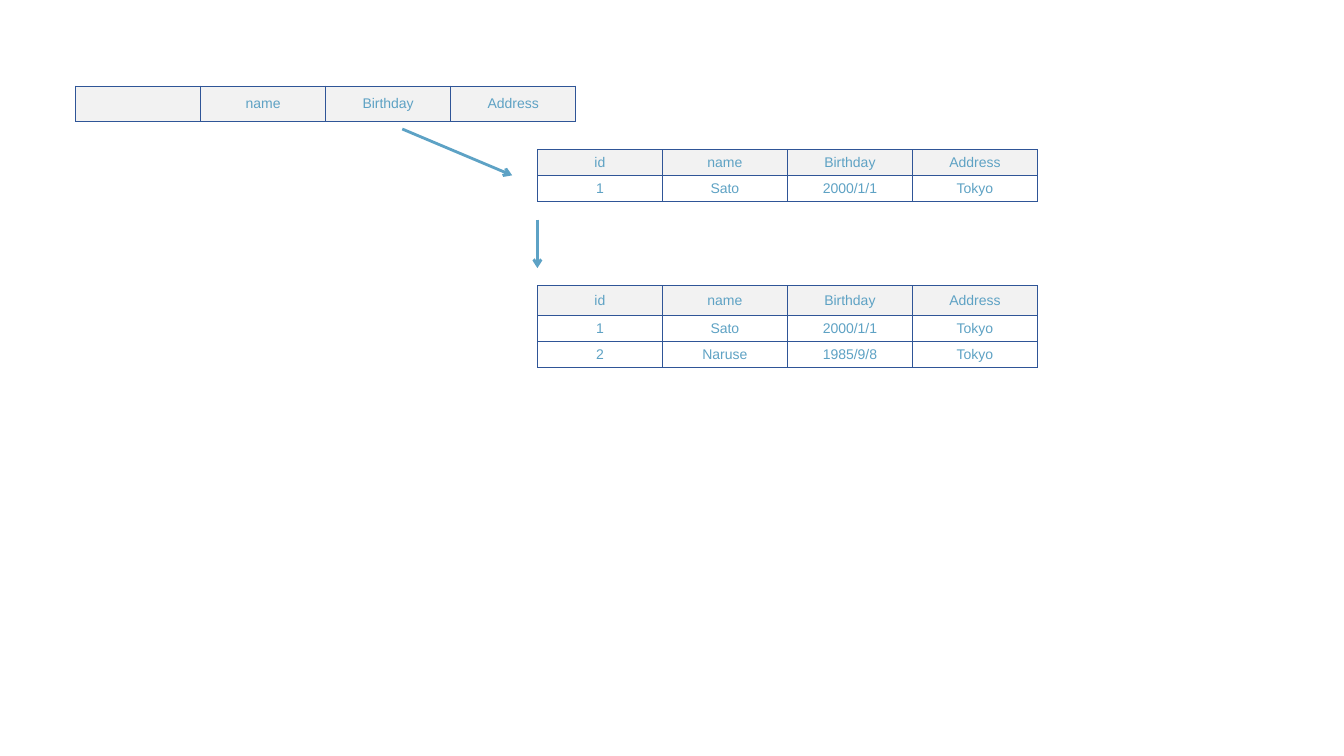
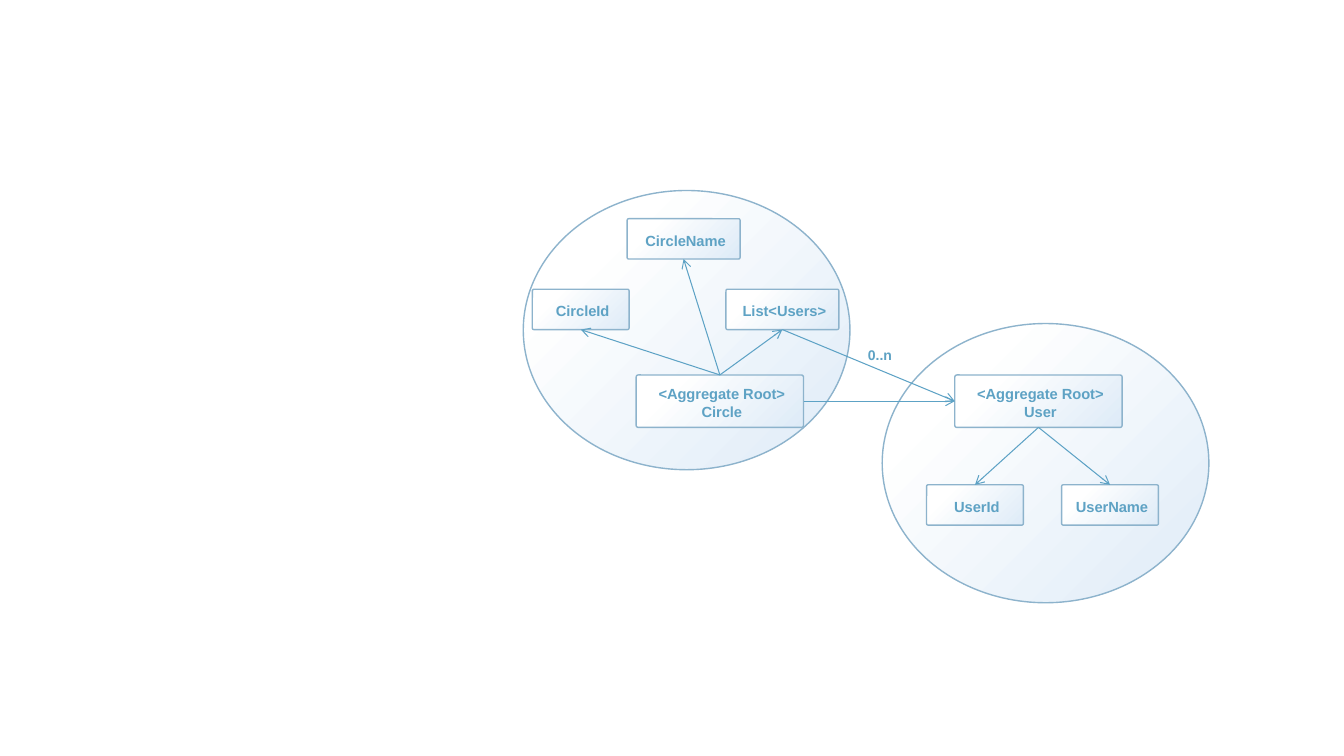
"""Build two slides: growing user tables and the circle and user aggregates."""
from lxml import etree
from pptx import Presentation, util as u
from pptx.dml import color
from pptx.enum import shapes, text
from pptx.oxml import ns

HUES = {
    "text": "5EA2C4", "arrow": "5DA2C5", "edge": "8DB3CC", "grid": "2F5597",
    "head": "F2F2F2", "white": "FFFFFF", "tint": "DEEBF7",
}
RGB = {name: color.RGBColor.from_string(hue) for name, hue in HUES.items()}
INSETS = {
    "margin_left": u.Inches(0.04), "margin_right": 0,
    "margin_top": u.Inches(0.03), "margin_bottom": 0,
    "vertical_anchor": text.MSO_ANCHOR.MIDDLE, "word_wrap": True,
}


def write(frame, words, size, bold, align):
    frame.text = words
    look = {"name": "Arial", "size": u.Pt(size), "bold": bold}
    for para in frame.paragraphs:
        para.alignment = align
        for run in para.runs:
            for key, value in look.items():
                setattr(run.font, key, value)
            run.font.color.rgb = RGB["text"]


def point(line, width):
    line.line.width = u.Pt(width)
    line.line.color.rgb = RGB["arrow"]
    props = line._element.spPr
    etree.SubElement(props.find(ns.qn("a:ln")), ns.qn("a:tailEnd"), type="arrow")
    etree.SubElement(props, ns.qn("a:effectLst"))


deck = Presentation()
deck.slide_width, deck.slide_height = u.Inches(13.33), u.Inches(7.5)
blank = deck.slide_layouts[6]
mid = text.PP_ALIGN.CENTER
straight = shapes.MSO_CONNECTOR.STRAIGHT

slide = deck.slides.add_slide(blank)
names = ["name", "Birthday", "Address"]
head = ["id"] + names
sato = ["1", "Sato", "2000/1/1", "Tokyo"]
naruse = ["2", "Naruse", "1985/9/8", "Tokyo"]
tables = [
    (5.33, 1.48, [0.26, 0.25], [head, sato]),
    (0.75, 0.85, [0.35], [[""] + names]),
    (5.33, 2.83, [0.3, 0.25, 0.26], [head, sato, naruse]),
]
for left, top, highs, rows in tables:
    grid = slide.shapes.add_table(
        len(rows), 4, u.Inches(left), u.Inches(top),
        u.Inches(4.96), u.Inches(sum(highs))).table
    grid.first_row = grid.horz_banding = False
    for r, (high, row) in enumerate(zip(highs, rows)):
        grid.rows[r].height = u.Inches(high)
        for c, words in enumerate(row):
            cell = grid.cell(r, c)
            write(cell.text_frame, words, 10, False, mid)
            if not words:
                para = cell.text_frame.paragraphs[0]
                para._p.get_or_add_endParaRPr().set("sz", "1000")
            cell.vertical_anchor = text.MSO_ANCHOR.MIDDLE
            props = cell._tc.get_or_add_tcPr()
            for side in ("lnL", "lnR", "lnT", "lnB"):
                edge = etree.SubElement(
                    props, ns.qn("a:" + side), w=str(u.Pt(0.25)))
                fill = etree.SubElement(edge, ns.qn("a:solidFill"))
                etree.SubElement(fill, ns.qn("a:srgbClr"), val=HUES["grid"])
            cell.fill.solid()
            cell.fill.fore_color.rgb = RGB["white" if r else "head"]

for ends in [(3.99, 1.28, 5.08, 1.74), (5.33, 2.18, 5.33, 2.66)]:
    point(slide.shapes.add_connector(straight, *map(u.Inches, ends)), 2)

slide = deck.slides.add_slide(blank)
oval, box = shapes.MSO_SHAPE.OVAL, shapes.MSO_SHAPE.ROUNDED_RECTANGLE
root, wide, small = (1.66, 0.52), (1.12, 0.4), (0.96, 0.4)
parts = [
    ("left", oval, 5.19, 1.89, (3.24, 2.77), ""),
    ("right", oval, 8.75, 3.21, (3.24, 2.77), ""),
    ("circle", box, 6.31, 3.72, root, "<Aggregate Root>\nCircle"),
    ("cid", box, 5.28, 2.87, small, "CircleId"),
    ("cname", box, 6.22, 2.17, wide, "CircleName"),
    ("list", box, 7.2, 2.87, wide, "List<Users>"),
    ("user", box, 9.47, 3.72, root, "<Aggregate Root>\nUser"),
    ("uid", box, 9.19, 4.81, small, "UserId"),
    ("uname", box, 10.53, 4.81, small, "UserName"),
]
nodes = {}
for key, kind, left, top, size, words in parts:
    node = slide.shapes.add_shape(kind, *map(u.Inches, (left, top, *size)))
    node.shadow.inherit = False
    node.fill.gradient()
    node.fill.gradient_angle = 315
    for stop, hue, place in zip(
            node.fill.gradient_stops, ("white", "tint"), (0.21, 1)):
        stop.color.rgb = RGB[hue]
        stop.position = place
    node.line.color.rgb = RGB["edge"]
    node.line.width = u.Pt(1)
    if kind == box:
        node.adjustments[0] = 0.04
        for name, value in INSETS.items():
            setattr(node.text_frame, name, value)
        write(node.text_frame, words, 10.5, True, mid)
    nodes[key] = node

TOP, LEFT, BASE, RIGHT = range(4)
links = [
    ("circle", TOP, "cname", BASE),
    ("circle", TOP, "cid", BASE),
    ("circle", TOP, "list", BASE),
    ("circle", RIGHT, "user", LEFT),
    ("list", BASE, "user", LEFT),
    ("user", BASE, "uid", TOP),
    ("user", BASE, "uname", TOP),
]
for start, out, end, into in links:
    line = slide.shapes.add_connector(straight, 0, 0, 0, 0)
    line.begin_connect(nodes[start], out)
    line.end_connect(nodes[end], into)
    point(line, 0.75)

label = slide.shapes.add_textbox(*map(u.Inches, (8.51, 3.39, 0.47, 0.27)))
label.text_frame.word_wrap = False
write(label.text_frame, "0..n", 10, True, text.PP_ALIGN.LEFT)

deck.save("out.pptx")
